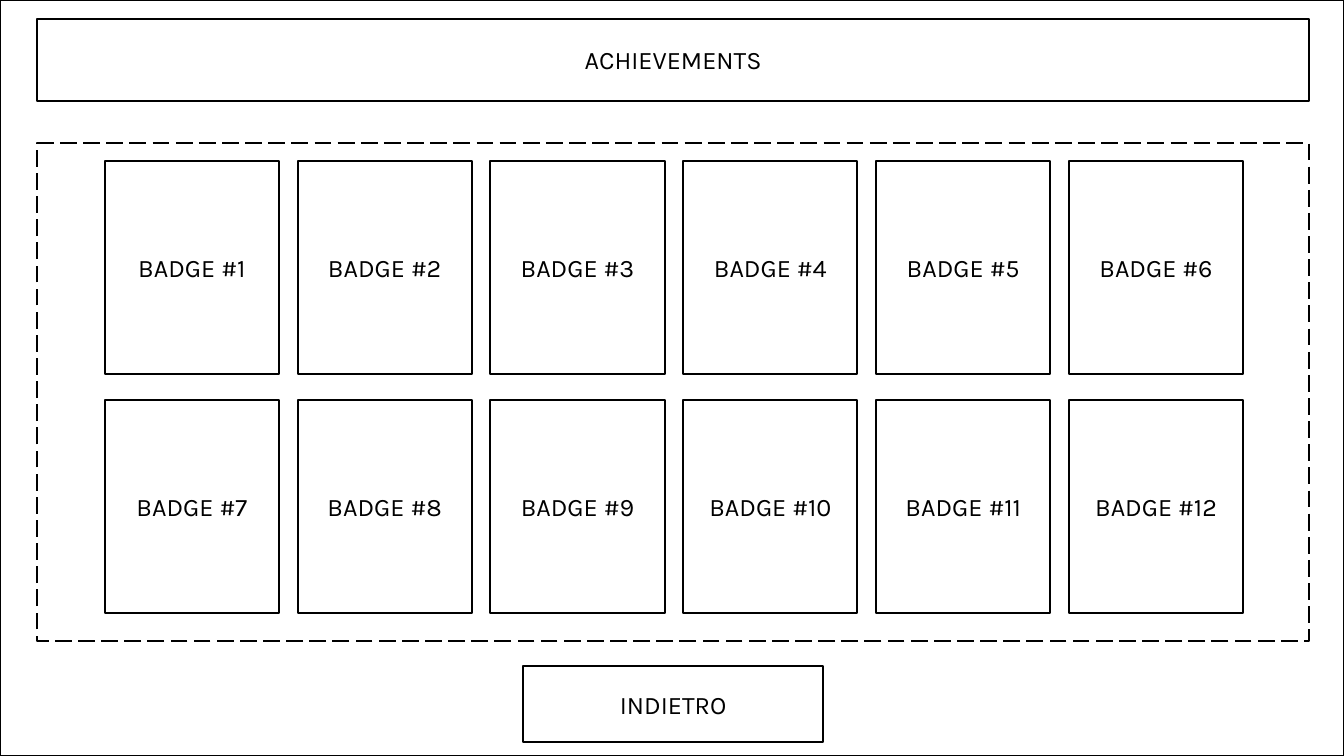
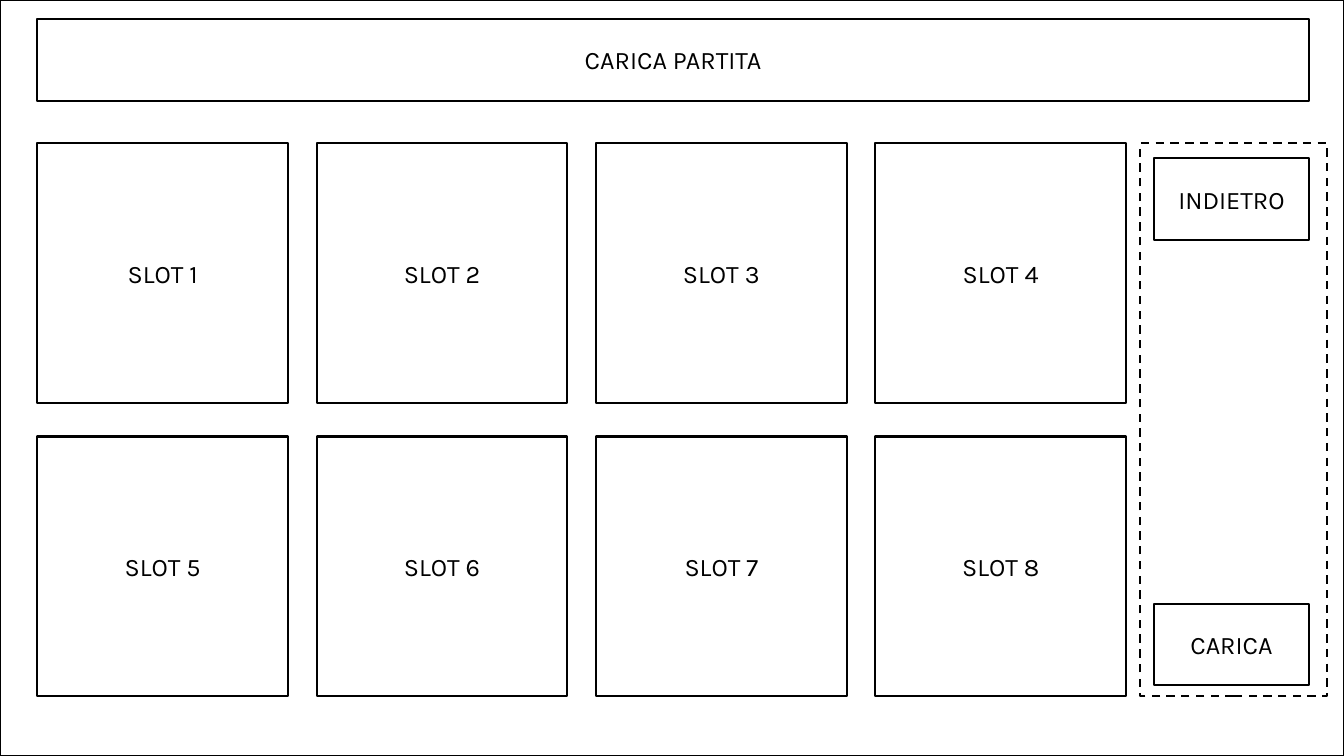
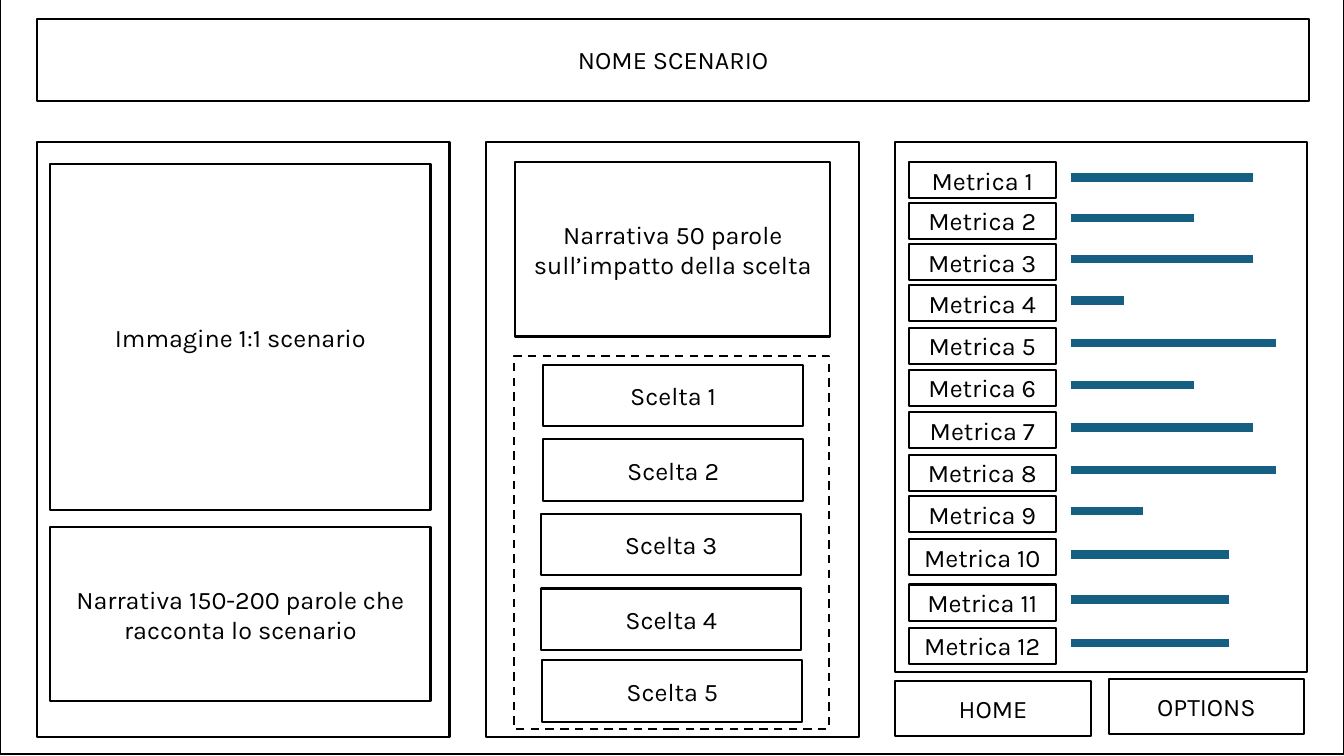
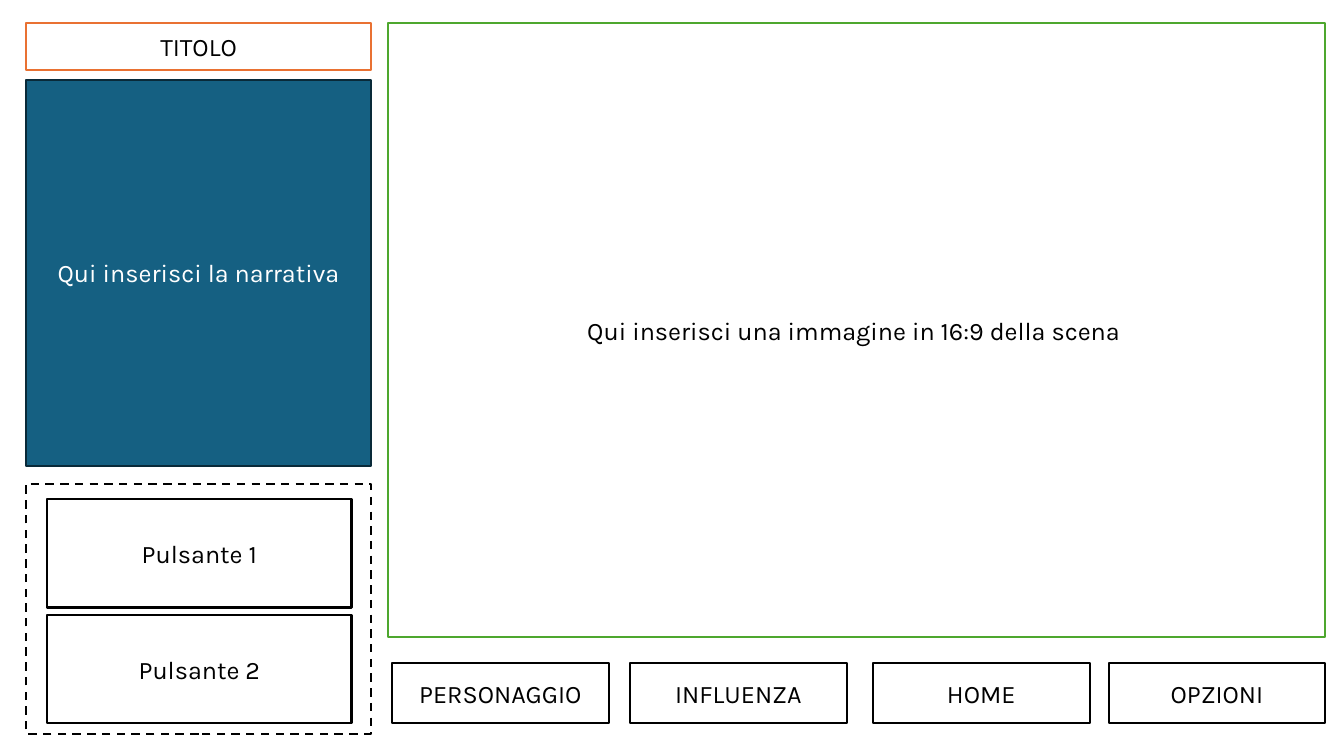
import pptx
import pptx.dml.color
import pptx.enum.dml
import pptx.enum.shapes
import pptx.enum.text
import pptx.util
import pptx.oxml
import pptx.oxml.ns

Cm = pptx.util.Cm
Pt = pptx.util.Pt
DASH = pptx.enum.dml.MSO_LINE.DASH
LONG_DASH = pptx.enum.dml.MSO_LINE.LONG_DASH

# Shared style
COLOURS = {
    "black": "000000",
    "white": "FFFFFF",
    "blue": "156082",
    "navy": "092A39",
    "green": "4EA72E",
    "orange": "E97132",
}
FONT = "Karla"
WIDTH, HEIGHT = 33.87, 19.05
MARGIN = 0.94


def colour(name):
    return pptx.dml.color.RGBColor.from_string(COLOURS[name])


# Elements
def add_box(page, left, top, width, height, text="", fill="white",
            line="black", ink="black", dash=None):
    box = page.shapes.add_shape(pptx.enum.shapes.MSO_SHAPE.RECTANGLE,
                                Cm(left), Cm(top), Cm(width), Cm(height))
    box.shadow.inherit = False
    if fill:
        box.fill.solid()
        box.fill.fore_color.rgb = colour(fill)
    else:
        box.fill.background()
    box.line.color.rgb = colour(line)
    box.line.width = Pt(1.5)
    if dash:
        box.line.dash_style = dash
    if text:
        box.text_frame.vertical_anchor = pptx.enum.text.MSO_ANCHOR.MIDDLE
        para = box.text_frame.paragraphs[0]
        para.alignment = pptx.enum.text.PP_ALIGN.CENTER
        span = para.add_run()
        span.text = text
        span.font.name = FONT
        span.font.size = Pt(18)
        span.font.color.rgb = colour(ink)


def add_grid(page, label, columns, rows, left, top, width, height,
             step_x, step_y, fill="white"):
    """Numbered boxes, row by row."""
    for index in range(columns * rows):
        row, column = divmod(index, columns)
        add_box(page, left + column * step_x, top + row * step_y,
                width, height, f"{label}{index + 1}", fill)


def add_bar(page, left, middle, length):
    bar = page.shapes.add_connector(
        pptx.enum.shapes.MSO_CONNECTOR.STRAIGHT,
        Cm(left), Cm(middle), Cm(left + length), Cm(middle))
    bar.line.color.rgb = colour("blue")
    bar.line.width = Pt(6)
    properties = bar._element.spPr
    properties.append(pptx.oxml.parse_xml(
        f"<a:effectLst {pptx.oxml.ns.nsdecls('a')}/>"))


def add_page(deck):
    return deck.slides.add_slide(deck.slide_layouts[6])


def add_screen(deck, title, top=0):
    """Page with an outer frame and a title band."""
    page = add_page(deck)
    add_box(page, 0, top, WIDTH, HEIGHT)
    add_box(page, MARGIN, 0.48, 32.05, 2.06, title)
    return page


# Pages
def add_achievements(deck):
    page = add_screen(deck, "ACHIEVEMENTS")
    add_box(page, MARGIN, 3.61, 32.05, 12.55, dash=LONG_DASH)
    add_grid(page, "BADGE #", 6, 2, 2.64, 4.06, 4.39, 5.36, 4.86, 6.02)
    add_box(page, 13.18, 16.79, 7.57, 1.9, "INDIETRO")


def add_load_game(deck):
    page = add_screen(deck, "CARICA PARTITA")
    add_box(page, 28.73, 3.61, 4.72, 13.94, dash=DASH)
    add_grid(page, "SLOT ", 4, 2, MARGIN, 3.61, 6.32, 6.55, 7.04, 7.39)
    for top, text in ((3.99, "INDIETRO"), (15.21, "CARICA")):
        add_box(page, 29.08, top, 3.91, 2.06, text)


def add_scenario(deck):
    page = add_screen(deck, "NOME SCENARIO", top=-0.05)

    # Panels
    for left, width, height in ((MARGIN, 10.39, 14.99),
                                (12.24, 9.4, 14.99),
                                (22.56, 10.39, 13.36)):
        add_box(page, left, 3.58, width, height)

    # Picture and narrative
    add_box(page, 1.27, 4.14, 9.58, 8.71, "Immagine 1:1 scenario")
    add_box(page, 1.27, 13.28, 9.58, 4.39,
            "Narrativa 150-200 parole che racconta lo scenario")
    add_box(page, 12.98, 4.09, 7.95, 4.39,
            "Narrativa 50 parole sull’impatto della scelta")

    # Choices
    add_box(page, 12.95, 8.97, 7.95, 9.4, dash=DASH)
    choices = ((13.69, 9.19), (13.69, 11.07), (13.64, 12.95),
               (13.64, 14.83), (13.67, 16.64))
    for number, (left, top) in enumerate(choices, 1):
        add_box(page, left, top, 6.55, 1.55, f"Scelta {number}")

    # Metrics: top of the label, length of the bar
    metrics = ((4.09, 4.6), (5.11, 3.1), (6.15, 4.6), (7.19, 1.35),
               (8.26, 5.18), (9.32, 3.1), (10.39, 4.6), (11.46, 5.18),
               (12.5, 1.83), (13.59, 3.99), (14.73, 3.99), (15.82, 3.99))
    for number, (top, length) in enumerate(metrics, 1):
        add_box(page, 22.9, top, 3.71, 0.91, f"Metrica {number}")
        add_bar(page, 26.98, top + 0.38, length)

    # Buttons
    add_box(page, 22.56, 17.17, 4.93, 1.37, "HOME")
    add_box(page, 27.94, 17.12, 4.93, 1.37, "OPTIONS")


def add_scene(deck):
    page = add_page(deck)
    add_box(page, 9.78, 0.58, 23.62, 15.47,
            "Qui inserisci una immagine in 16:9 della scena ", line="green")

    # Left column
    add_box(page, 0.66, 0.58, 8.69, 1.19, "TITOLO", line="orange")
    add_box(page, 0.66, 2.01, 8.69, 9.73, "Qui inserisci la narrativa",
            fill="blue", line="navy", ink="white")
    add_box(page, 0.66, 12.19, 8.69, 6.3, fill=None, dash=DASH)
    add_grid(page, "Pulsante ", 1, 2, 1.19, 12.57, 7.67, 2.74, 0, 2.92,
             fill=None)

    # Navigation
    for left, text in ((9.88, "PERSONAGGIO"), (15.88, "INFLUENZA"),
                       (22, "HOME"), (27.94, "OPZIONI")):
        add_box(page, left, 16.71, 5.46, 1.52, text, fill=None)


def main():
    deck = pptx.Presentation()
    deck.slide_width = Cm(WIDTH)
    deck.slide_height = Cm(HEIGHT)
    add_achievements(deck)
    add_load_game(deck)
    add_scenario(deck)
    add_scene(deck)
    deck.save("out.pptx")


if __name__ == "__main__":
    main()
